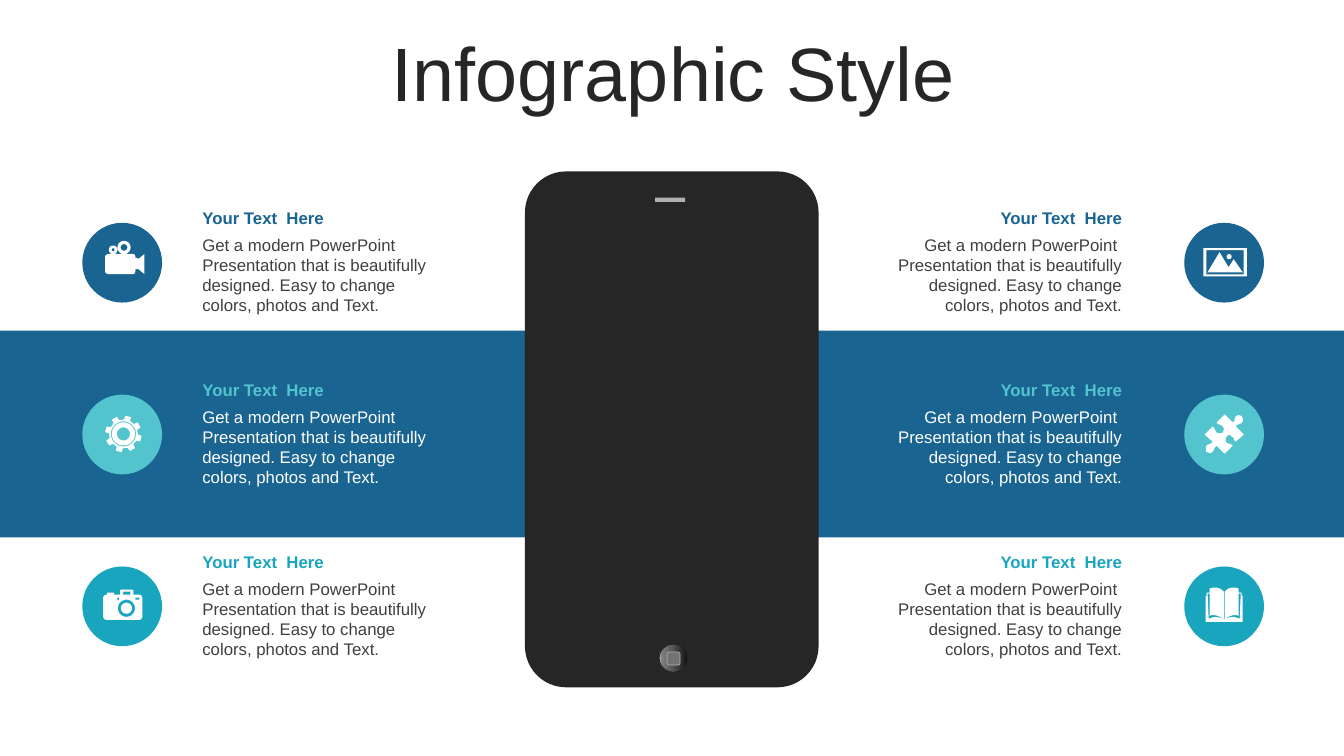
"""Builds an infographic slide with a phone, a colour band and six icon captions."""
from math import cos, pi, sin

from lxml.etree import SubElement
from pptx import Presentation
from pptx.dml.color import RGBColor
from pptx.enum.shapes import MSO_SHAPE
from pptx.enum.text import MSO_ANCHOR, MSO_AUTO_SIZE, PP_ALIGN
from pptx.oxml.ns import qn
from pptx.util import Cm, Pt

BLUE = RGBColor(0x19, 0x64, 0x91)
AQUA = RGBColor(0x53, 0xC3, 0xCD)
TEAL = RGBColor(0x19, 0xA5, 0xBE)
WHITE = RGBColor(0xFF, 0xFF, 0xFF)
BLACK = RGBColor(0x26, 0x26, 0x26)
GREY = RGBColor(0x40, 0x40, 0x40)
SILVER = RGBColor(0xB0, 0xB0, 0xB0)
BUTTON_GREY = RGBColor(0x73, 0x73, 0x73)
BUTTON_STOPS = [(0, "0F0F0F"), (56, "595959"), (91, "808080"), (100, "BFBFBF")]

TITLE = "Infographic Style"
HEADING = "Your Text  Here"
BODY = ("Get a modern PowerPoint  Presentation that is beautifully designed. "
        "Easy to change colors, photos and Text.")


def box(left, top, right, bottom):
    """Corner points of a rectangle."""
    return [(left, top), (right, top), (right, bottom), (left, bottom)]


def circle(x, y, radius, count=40):
    """Points around a circle."""
    return [(x + radius * cos(2 * pi * i / count), y + radius * sin(2 * pi * i / count))
            for i in range(count)]


def gear_rim(x, y, teeth=8):
    """Outline of a gear wheel, one tooth after another."""
    profile = [(-13, 14.3), (-9, 18.2), (9, 18.2), (13, 14.3)]
    angles = [((360 * tooth / teeth + 15 + turn) * pi / 180, radius)
              for tooth in range(teeth) for turn, radius in profile]
    return [(x + radius * cos(a), y + radius * sin(a)) for a, radius in angles]


def trace(*steps):
    """Points along lines (x, y) and curves (two controls and an end)."""
    points = [steps[0]]
    for step in steps[1:]:
        if len(step) == 2:
            points.append(step)
            continue
        x0, y0 = points[-1]
        x1, y1, x2, y2, x3, y3 = step
        for t in (i / 8 for i in range(1, 9)):
            a, b, c, d = (1 - t) ** 3, 3 * t * (1 - t) ** 2, 3 * t * t * (1 - t), t ** 3
            points.append((a * x0 + b * x1 + c * x2 + d * x3,
                           a * y0 + b * y1 + c * y2 + d * y3))
    return points


VIDEO = [
    trace((-17, -5.6), (-17, -7.6, -15, -8.6, -13, -8.6), (10, -8.6),
          (12, -8.6, 13, -7.6, 13, -5.6), (13, -4.6), (15, -4.6), (16, -3.6),
          (22, -8.6), (22, 11.4), (16, 6.4), (13, 6.4), (13, 8.4),
          (13, 10.4, 12, 11.4, 10, 11.4), (-13, 11.4),
          (-15, 11.4, -17, 10.4, -17, 8.4)),
    circle(-9, -12.8, 4.2), circle(-9, -12.8, 1.5),
    circle(1.8, -15.1, 6.5), circle(1.8, -15.1, 3.3),
]
GEAR = [gear_rim(1.2, -0.6)] + [circle(1.2, -0.6, r) for r in (12.5, 11.5, 6.5)]
CAMERA = [
    [(-19, -8.6), (-18, -10.8), (-16, -11.6), (-15, -11.6), (-15, -13.6), (-8, -13.6),
     (-8, -11.6), (-2, -11.6), (-2, -16), (-1, -16.6), (10, -16.6), (11, -16),
     (11, -11.6), (17, -11.6), (19, -10.8), (20, -8.6), (20, 10.4), (19, 12.6),
     (17, 13.4), (-16, 13.4), (-18, 12.6), (-19, 10.4)],
    box(1, -14.6, 8, -11.6), box(-5, -8.6, -3, -6.6), box(13, -8.6, 17, -6.6),
    circle(4.2, 1.9, 8.5), circle(4.2, 1.9, 5.5),
]
LANDSCAPE = [
    box(-20.5, -14.5, 22.5, 13.5), box(-17.5, -12.5, 19.5, 11.5),
    [(-4.5, -10.5), (4.5, 4.5), (9.5, -3.5), (18.5, 9.5), (-16.5, 9.5)],
    circle(5, -6, 2.5),
]
PUZZLE = [trace(
    (17.5, -18), (18.5, -16, 19.5, -14, 17.5, -12), (16.5, -10, 13.5, -11, 11.5, -8),
    (19.5, 0), (11.5, 7), (8.5, 5, 10.5, 3, 7.5, 2), (6.5, 0, 3.5, 0, 2.5, 2),
    (1.5, 3, 0.5, 6, 2.5, 8), (4.5, 10, 5.5, 8, 8.5, 11), (0.5, 19), (-7.5, 11),
    (-10.5, 14, -9.5, 14, -11.5, 17), (-13.5, 19, -15.5, 18, -17.5, 17),
    (-18.5, 16, -18.5, 13, -17.5, 11), (-15.5, 9, -13.5, 10, -11.5, 7), (-19.5, 0),
    (-11.5, -8), (-8.5, -6, -9.5, -4, -7.5, -2), (-5.5, -1, -2.5, -1, -1.5, -2),
    (-0.5, -4, 0.5, -6, -1.5, -8), (-4.5, -11, -5.5, -9, -7.5, -12), (0.5, -20),
    (8.5, -12), (11.5, -14, 9.5, -15, 11.5, -18), (13.5, -20, 16.5, -19, 17.5, -18))]
PAGES = [
    trace((0.4, -14.6), (3.4, -17.6, 5.4, -18.6, 9.4, -18.6),
          (10.4, -18.6, 12.4, -18.6, 14.4, -17.6), (14.4, -13.6), (17.4, -13.6),
          (17.4, -10.6), (18.4, -10.6), (18.4, 15.4), (0.4, 15.4)),
    trace((0.4, 12.4), (6.4, 10.4, 9.4, 9.4, 15.4, 12.4), (16.4, -12.6),
          (14.4, -12.6), (14.4, 9.4), (10.4, 7.4, 5.4, 9.4, 0.4, 12.4)),
]
BOOK = (PAGES + [[(-x, y) for x, y in page] for page in PAGES]
        + [box(-0.4, 12.4, 0.4, 15.4)])

ROWS = [(BLUE, GREY, VIDEO, LANDSCAPE), (AQUA, WHITE, GEAR, PUZZLE), (TEAL, GREY, CAMERA, BOOK)]
SIDES = [(3.08, 4.85, PP_ALIGN.LEFT), (30.85, 21.82, PP_ALIGN.RIGHT)]
FIRST_CENTRE, ROW_PITCH = 6.62, 4.33
DISC = 2.01
ICON_UNIT = Cm(2.54) / 100

deck = Presentation()
deck.slide_width, deck.slide_height = Cm(33.87), Cm(19.05)
slide = deck.slides.add_slide(deck.slide_layouts[6])


def paint(shape, fill, line=None, line_width=0):
    """Gives a shape a flat fill, an optional line and no shadow."""
    shape.shadow.inherit = False
    shape.fill.solid()
    shape.fill.fore_color.rgb = fill
    if line is None:
        shape.line.fill.background()
    else:
        shape.line.color.rgb = line
        shape.line.width = Pt(line_width)
    return shape


def add_preset(preset, left, top, width, height, fill, **outline):
    """Adds a painted preset shape."""
    shape = slide.shapes.add_shape(preset, Cm(left), Cm(top), Cm(width), Cm(height))
    return paint(shape, fill, **outline)


def add_icon(contours, centre_x, centre_y):
    """Adds a white icon made of several contours around a centre."""
    placed = [[(Cm(centre_x) + x * ICON_UNIT, Cm(centre_y) + y * ICON_UNIT)
               for x, y in contour] for contour in contours]
    builder = slide.shapes.build_freeform(*placed[0][0], scale=1.0)
    for index, contour in enumerate(placed):
        if index:
            builder.move_to(*contour[0])
        builder.add_line_segments(contour[1:], close=True)
    paint(builder.convert_to_shape(), WHITE)


def add_text(text, left, top, width, height, *, color, size=12, bold=False,
             align=PP_ALIGN.LEFT, anchor=MSO_ANCHOR.TOP, grow=True, spacing=None, before=None):
    """Adds a wrapped text box with one formatted paragraph."""
    frame = slide.shapes.add_textbox(Cm(left), Cm(top), Cm(width), Cm(height)).text_frame
    frame.word_wrap = True
    frame.auto_size = MSO_AUTO_SIZE.SHAPE_TO_FIT_TEXT if grow else MSO_AUTO_SIZE.NONE
    frame.vertical_anchor = anchor
    paragraph = frame.paragraphs[0]
    paragraph.alignment = align
    paragraph.line_spacing = spacing
    paragraph.space_before = before
    run = paragraph.add_run()
    run.text = text
    run.font.name, run.font.size, run.font.bold = "Arial", Pt(size), bold
    run.font.color.rgb = color


add_preset(MSO_SHAPE.RECTANGLE, 0, 8.33, 33.87, 5.21, BLUE)
phone = add_preset(MSO_SHAPE.ROUNDED_RECTANGLE, 13.23, 4.32, 7.4, 13, BLACK)
phone.adjustments[0] = 0.14
add_preset(MSO_SHAPE.RECTANGLE, 16.51, 4.98, 0.76, 0.11, SILVER)
home_button = add_preset(MSO_SHAPE.OVAL, 16.61, 16.23, 0.73, 0.71, BLACK, line=BLACK)
home_button.fill.gradient()
home_button.fill.gradient_angle = 180
stops = next(home_button._element.iter(qn("a:gsLst")))
for stop in list(stops):
    stops.remove(stop)
for percent, shade in BUTTON_STOPS:
    stop = SubElement(stops, qn("a:gs"), pos=str(percent * 1000))
    SubElement(stop, qn("a:srgbClr"), val=shade)
add_preset(MSO_SHAPE.ROUNDED_RECTANGLE, 16.81, 16.43, 0.33, 0.33, BUTTON_GREY,
           line=SILVER, line_width=0.5)

add_text(TITLE, 0.89, 0.94, 32.16, 2.01, color=BLACK, size=54, align=PP_ALIGN.CENTER,
         anchor=MSO_ANCHOR.MIDDLE, grow=False, spacing=0.9, before=Pt(10))

for row, (accent, body_color, *icons) in enumerate(ROWS):
    centre_y = FIRST_CENTRE + row * ROW_PITCH
    for icon, (centre_x, text_left, align) in zip(icons, SIDES):
        add_preset(MSO_SHAPE.OVAL, centre_x - DISC / 2, centre_y - DISC / 2, DISC, DISC, accent)
        add_icon(icon, centre_x, centre_y)
        add_text(HEADING, text_left, centre_y - 1.51, 6.71, 0.77,
                 color=accent, bold=True, align=align)
        add_text(BODY, text_left, centre_y - 0.83, 6.71, 2.31, color=body_color, align=align)

deck.save("out.pptx")
